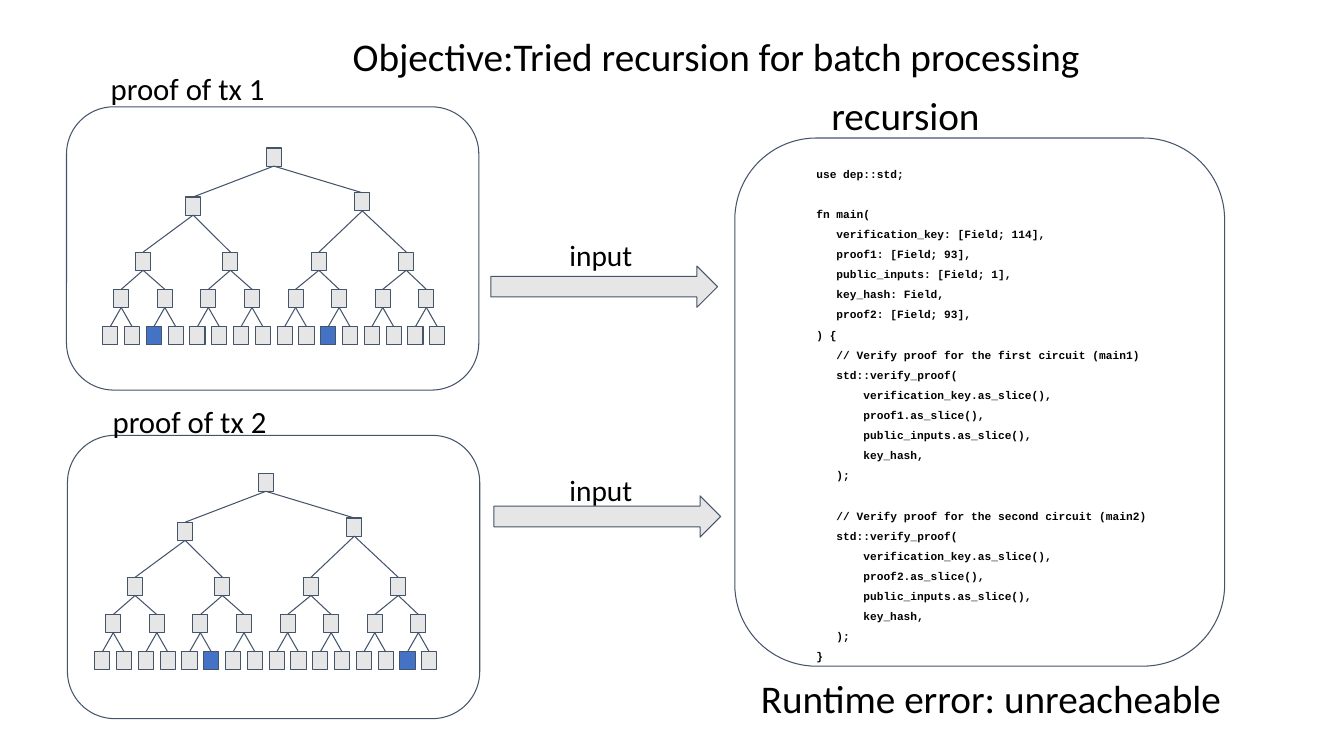
from typing import NamedTuple

from lxml import etree
from pptx import Presentation
from pptx.dml.color import RGBColor
from pptx.enum import shapes, text
from pptx.oxml import ns
from pptx.util import Pt

BLACK = RGBColor(0x00, 0x00, 0x00)
SLATE = RGBColor(0x44, 0x54, 0x6A)
GREY = RGBColor(0xE7, 0xE6, 0xE6)
BLUE = RGBColor(0x44, 0x72, 0xC4)

LINE_WIDTH = 0.75
NODE_WIDTH, NODE_HEIGHT = 10.8, 12.95
LEAF_PITCH = 15.57
LEAF_COUNT = 16
LEAF_TOP, PAIR_TOP, QUAD_TOP = 127.6, 101, 74.4
CODE_SIZE = 8
CODE_CHAR_WIDTH = 0.6 * CODE_SIZE
CODE_LINE_HEIGHT = 14.35

CODE = """\
use dep::std;

fn main(
   verification_key: [Field; 114],
   proof1: [Field; 93],
   public_inputs: [Field; 1],
   key_hash: Field,
   proof2: [Field; 93],
) {
   // Verify proof for the first circuit (main1)
   std::verify_proof(
       verification_key.as_slice(),
       proof1.as_slice(),
       public_inputs.as_slice(),
       key_hash,
   );

   // Verify proof for the second circuit (main2)
   std::verify_proof(
       verification_key.as_slice(),
       proof2.as_slice(),
       public_inputs.as_slice(),
       key_hash,
   );
}"""


class Box(NamedTuple):
    left: float
    top: float
    width: float
    height: float


class Node(NamedTuple):
    """Top-left corner of a tree node, relative to its tree."""
    x: float
    y: float


class Proof(NamedTuple):
    frame: Box
    tree_left: float
    tree_top: float
    marked_leaves: tuple[int, ...]


class Label(NamedTuple):
    words: str
    box: Box
    size: float


PROOFS = (
    Proof(Box(47.5, 76.3, 294.5, 202.3), 73.4, 105.7, (2, 10)),
    Proof(Box(48.2, 311, 294.5, 202.3), 67.7, 338, (5, 14)),
)
RECURSION_FRAME = Box(524.9, 98.6, 349.9, 377.3)
ARROWS = (Box(350.6, 190, 162, 29.5), Box(352.8, 354.2, 162, 29.5))
CODE_BOX = Box(576, 107.3, 294.5, 373)
LABELS = (
    Label("Objective:Tried recursion for batch processing", Box(244.8, 15.8, 558, 48.2), 28),
    Label("proof of tx 1", Box(72, 42.5, 280, 41), 22),
    Label("proof of tx 2", Box(73.4, 280.8, 280, 41), 22),
    Label("input", Box(399.6, 162, 77.8, 40.3), 21),
    Label("input", Box(399.6, 329.8, 77.8, 40.3), 21),
    Label("recursion", Box(586.8, 58.3, 362.9, 48.2), 28),
    Label("Runtime error: unreacheable", Box(536.4, 474.5, 357.8, 48.2), 28),
)

# Levels of a tree from the root down; the two lowest follow the leaf pitch.
LEVELS = (
    (Node(116.8, 0),),
    (Node(59.2, 35), Node(180, 32)),
    tuple(Node(x, QUAD_TOP) for x in (23.4, 85.8, 149, 211.4)),
    tuple(Node((2 * i + 0.5) * LEAF_PITCH, PAIR_TOP) for i in range(LEAF_COUNT // 2)),
    tuple(Node(i * LEAF_PITCH, LEAF_TOP) for i in range(LEAF_COUNT)),
)


def add_outlined(slide, kind, box: Box, fill: RGBColor | None = None):
    shape = slide.shapes.add_shape(kind, *map(Pt, box))
    shape.shadow.inherit = False
    shape.line.color.rgb = SLATE
    shape.line.width = Pt(LINE_WIDTH)
    if fill is None:
        shape.fill.background()
    else:
        shape.fill.solid()
        shape.fill.fore_color.rgb = fill
    return shape


def add_branch(slide, x1: float, y1: float, x2: float, y2: float) -> None:
    branch = slide.shapes.add_connector(
        shapes.MSO_CONNECTOR.STRAIGHT, Pt(x1), Pt(y1), Pt(x2), Pt(y2))
    branch.line.color.rgb = SLATE
    branch.line.width = Pt(LINE_WIDTH)
    etree.SubElement(branch._element.spPr, ns.qn("a:effectLst"))


def add_tree(slide, proof: Proof) -> None:
    """Draw the nodes level by level, then join each node to its parent."""
    left, top = proof.tree_left, proof.tree_top
    for level in LEVELS:
        for i, node in enumerate(level):
            marked = level is LEVELS[-1] and i in proof.marked_leaves
            add_outlined(slide, shapes.MSO_SHAPE.RECTANGLE,
                         Box(left + node.x, top + node.y, NODE_WIDTH, NODE_HEIGHT),
                         BLUE if marked else GREY)
    centre = left + NODE_WIDTH / 2
    for parents, children in zip(LEVELS, LEVELS[1:]):
        for i, child in enumerate(children):
            parent = parents[i // 2]
            add_branch(slide, centre + parent.x, top + parent.y + NODE_HEIGHT,
                       centre + child.x, top + child.y)


def add_text(slide, words: str, box: Box, *, size: float, font: str = "Calibri",
             bold: bool = False, spacing: float = 1.0) -> None:
    """Leading spaces become indents, and empty lines become space before."""
    frame = slide.shapes.add_textbox(*map(Pt, box)).text_frame
    frame.word_wrap = True
    frame.auto_size = text.MSO_AUTO_SIZE.SHAPE_TO_FIT_TEXT
    frame.margin_left = frame.margin_right = Pt(7.2)
    frame.margin_top = frame.margin_bottom = Pt(7.2)
    paragraph = frame.paragraphs[0]
    gap = 0.0
    for i, line in enumerate(words.split("\n")):
        if not line:
            gap += CODE_LINE_HEIGHT
            continue
        if i:
            paragraph = frame.add_paragraph()
        paragraph.line_spacing = spacing
        paragraph.space_before = Pt(gap)
        gap = 0.0
        stripped = line.lstrip()
        indent = (len(line) - len(stripped)) * CODE_CHAR_WIDTH
        if indent:
            paragraph._p.get_or_add_pPr().set("marL", str(Pt(indent)))
        run = paragraph.add_run()
        run.text = stripped
        run.font.name = font
        run.font.size = Pt(size)
        run.font.bold = bold
        run.font.color.rgb = BLACK


def main() -> None:
    deck = Presentation()
    deck.slide_width, deck.slide_height = Pt(960), Pt(540)
    slide = deck.slides.add_slide(deck.slide_layouts[6])

    for frame in (*(proof.frame for proof in PROOFS), RECURSION_FRAME):
        add_outlined(slide, shapes.MSO_SHAPE.ROUNDED_RECTANGLE, frame)
    for proof in PROOFS:
        add_tree(slide, proof)
    for arrow in ARROWS:
        add_outlined(slide, shapes.MSO_SHAPE.RIGHT_ARROW, arrow, GREY)
    for label in LABELS:
        add_text(slide, label.words, label.box, size=label.size)
    add_text(slide, CODE, CODE_BOX, size=CODE_SIZE, font="Courier New", bold=True, spacing=1.5)

    deck.save("out.pptx")


if __name__ == "__main__":
    main()
